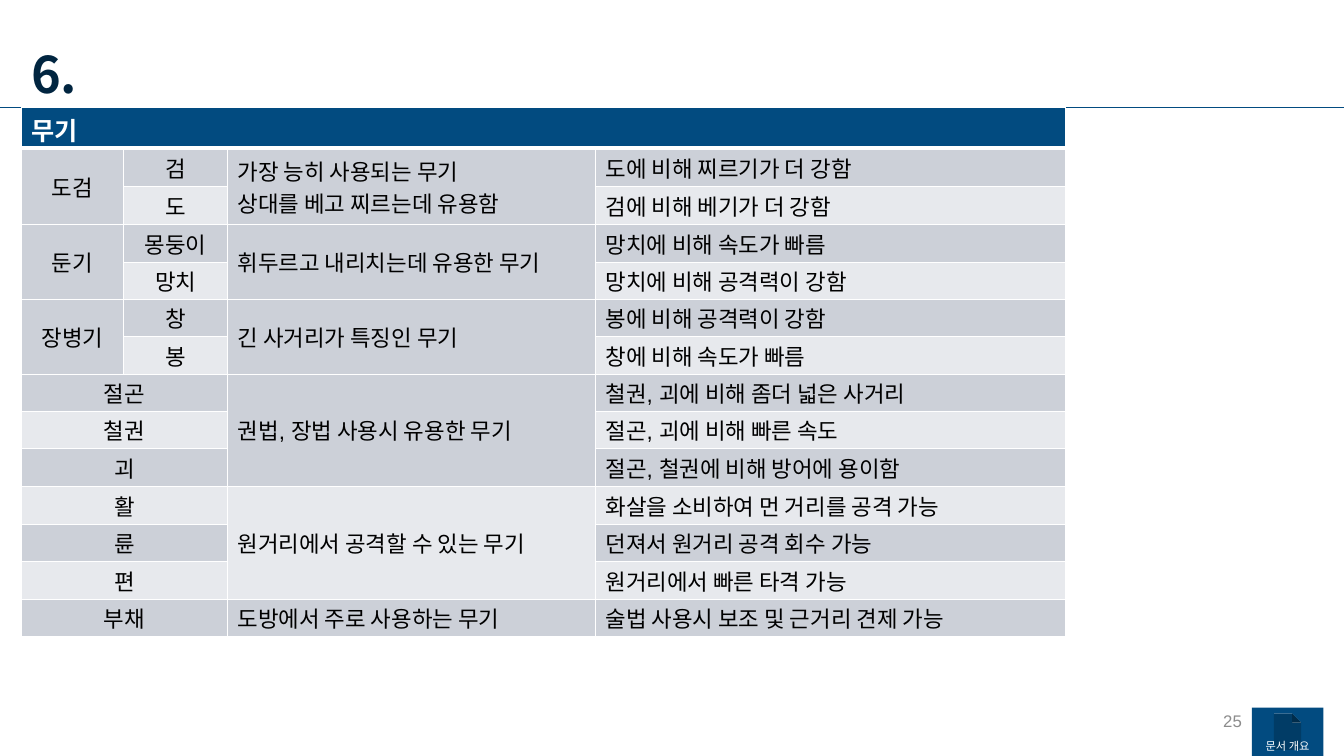
"""Build the weapon overview slide."""
from lxml.etree import SubElement
from pptx import Presentation
from pptx.dml.color import RGBColor
from pptx.enum.shapes import MSO_CONNECTOR, MSO_SHAPE
from pptx.enum.text import MSO_ANCHOR, PP_ALIGN
from pptx.oxml.ns import qn
from pptx.util import Pt

LEFT, UP = "<", "^"
TITLE = "6."
PAGE_NUMBER = "25"
BUTTON_LABEL = "문서 개요"
WEAPONS = [
    ("무기", LEFT, LEFT, LEFT),
    ("도검", "검", "가장 능히 사용되는 무기\n상대를 베고 찌르는데 유용함", "도에 비해 찌르기가 더 강함"),
    (UP, "도", UP, "검에 비해 베기가 더 강함"),
    ("둔기", "몽둥이", "휘두르고 내리치는데 유용한 무기", "망치에 비해 속도가 빠름"),
    (UP, "망치", UP, "망치에 비해 공격력이 강함"),
    ("장병기", "창", "긴 사거리가 특징인 무기", "봉에 비해 공격력이 강함"),
    (UP, "봉", UP, "창에 비해 속도가 빠름"),
    ("절곤", LEFT, "권법, 장법 사용시 유용한 무기", "철권, 괴에 비해 좀더 넓은 사거리"),
    ("철권", LEFT, UP, "절곤, 괴에 비해 빠른 속도"),
    ("괴", LEFT, UP, "절곤, 철권에 비해 방어에 용이함"),
    ("활", LEFT, "원거리에서 공격할 수 있는 무기", "화살을 소비하여 먼 거리를 공격 가능"),
    ("륜", LEFT, UP, "던져서 원거리 공격 회수 가능"),
    ("편", LEFT, UP, "원거리에서 빠른 타격 가능"),
    ("부채", LEFT, "도방에서 주로 사용하는 무기", "술법 사용시 보조 및 근거리 견제 가능"),
]
THEME = {
    "navy": "024B80", "ink": "012540", "black": "000000", "white": "FFFFFF",
    "gray": "8C8C8C", "bands": ("E7E9ED", "CCD0D8"),
    "latin": "Arial", "korean": "Noto Sans CJK KR",
    "title": 36, "header": 18, "body": 16, "number": 12, "button": 8,
}
SLIDE_WIDTH, SLIDE_HEIGHT = 960, 540
RULE_TOP = 77
TABLE_LEFT = 15.1
COLUMN_WIDTHS = (73.4, 74.1, 262.8, 335.6)
HEADER_HEIGHT, ROW_HEIGHT, TALL_ROW_HEIGHT = 28.8, 26.7, 27.4
TALL_ROWS = (1, 2, 10)


def color(name):
    return RGBColor.from_string(THEME.get(name, name))


def set_values(target, values):
    for name, value in values.items():
        setattr(target, name, value)


def write(frame, text, size, ink, align, bold=False, font="latin", **layout):
    set_values(frame, {"word_wrap": True, **layout})
    for index, line in enumerate(text.split("\n")):
        para = frame.add_paragraph() if index else frame.paragraphs[0]
        para.alignment = align
        span = para.add_run()
        span.text = line
        set_values(span.font, {"name": THEME[font], "size": Pt(THEME[size]), "bold": bold})
        span.font.color.rgb = color(ink)
        SubElement(span.font._element, qn("a:ea"), typeface=THEME["korean"])


def add_borders(cell, bottom):
    properties = cell._tc.get_or_add_tcPr()
    widths = {"lnL": 1, "lnR": 1, "lnT": 1, "lnB": bottom}
    for index, (side, width) in enumerate(widths.items()):
        line = SubElement(properties, qn(f"a:{side}"), w=str(Pt(width)))
        fill = SubElement(line, qn("a:solidFill"))
        SubElement(fill, qn("a:srgbClr"), val=THEME["white"])
        properties.insert(index, line)


def merge_size(row, column):
    columns = rows = 1
    while column + columns < len(COLUMN_WIDTHS) and WEAPONS[row][column + columns] == LEFT:
        columns += 1
    while row + rows < len(WEAPONS) and WEAPONS[row + rows][column] == UP:
        rows += 1
    return rows, columns


def add_weapon_table(page):
    heights = [HEADER_HEIGHT] + [
        TALL_ROW_HEIGHT if row in TALL_ROWS else ROW_HEIGHT for row in range(1, len(WEAPONS))]
    table = page.shapes.add_table(
        len(WEAPONS), len(COLUMN_WIDTHS), Pt(TABLE_LEFT), Pt(RULE_TOP),
        Pt(sum(COLUMN_WIDTHS)), Pt(sum(heights))).table
    for column, width in zip(table.columns, COLUMN_WIDTHS):
        column.width = Pt(width)
    for row, height in zip(table.rows, heights):
        row.height = Pt(height)
    for row, texts in enumerate(WEAPONS):
        header = row == 0
        for column, text in enumerate(texts):
            cell = table.cell(row, column)
            cell.fill.solid()
            cell.fill.fore_color.rgb = color("navy" if header else THEME["bands"][row % 2])
            add_borders(cell, 3 if header else 1)
            set_values(cell, {
                "margin_top": Pt(2.7 if header else 1.4),
                "margin_bottom": Pt(0 if header else 1.4),
                "vertical_anchor": MSO_ANCHOR.TOP if header else MSO_ANCHOR.MIDDLE,
            })
            if text in (LEFT, UP):
                continue
            rows, columns = merge_size(row, column)
            if rows * columns > 1:
                cell.merge(table.cell(row + rows - 1, column + columns - 1))
            if header:
                write(cell.text_frame, text, "header", "white", PP_ALIGN.LEFT, bold=True)
            else:
                align = PP_ALIGN.CENTER if column < 2 else PP_ALIGN.JUSTIFY
                write(cell.text_frame, text, "body", "black", align)


def add_rule(page):
    rule = page.shapes.add_connector(
        MSO_CONNECTOR.STRAIGHT, 0, Pt(RULE_TOP), Pt(SLIDE_WIDTH), Pt(RULE_TOP))
    rule.line.width = Pt(0.5)
    rule.line.color.rgb = color("navy")
    SubElement(rule._element.spPr, qn("a:effectLst"))


def add_button(page):
    button = page.shapes.add_shape(
        MSO_SHAPE.ACTION_BUTTON_DOCUMENT, Pt(894.2), Pt(505.4), Pt(51.1), Pt(34.6))
    button.shadow.inherit = False
    button.fill.solid()
    button.fill.fore_color.rgb = color("navy")
    button.line.fill.background()
    write(button.text_frame, BUTTON_LABEL, "button", "white", PP_ALIGN.CENTER,
          vertical_anchor=MSO_ANCHOR.BOTTOM, margin_left=Pt(3), margin_right=Pt(3),
          margin_bottom=Pt(2))


def main():
    deck = Presentation()
    set_values(deck, {"slide_width": Pt(SLIDE_WIDTH), "slide_height": Pt(SLIDE_HEIGHT)})
    page = deck.slides.add_slide(deck.slide_layouts[6])
    title = page.shapes.add_textbox(Pt(TABLE_LEFT), Pt(26.6), Pt(296.6), Pt(51.1))
    write(title.text_frame, TITLE, "title", "ink", PP_ALIGN.LEFT, bold=True, font="korean",
          vertical_anchor=MSO_ANCHOR.MIDDLE)
    number = page.shapes.add_textbox(Pt(678.2), Pt(500.4), Pt(216), Pt(28.8))
    write(number.text_frame, PAGE_NUMBER, "number", "gray", PP_ALIGN.RIGHT,
          vertical_anchor=MSO_ANCHOR.MIDDLE)
    add_button(page)
    add_rule(page)
    add_weapon_table(page)
    deck.save("out.pptx")


if __name__ == "__main__":
    main()
